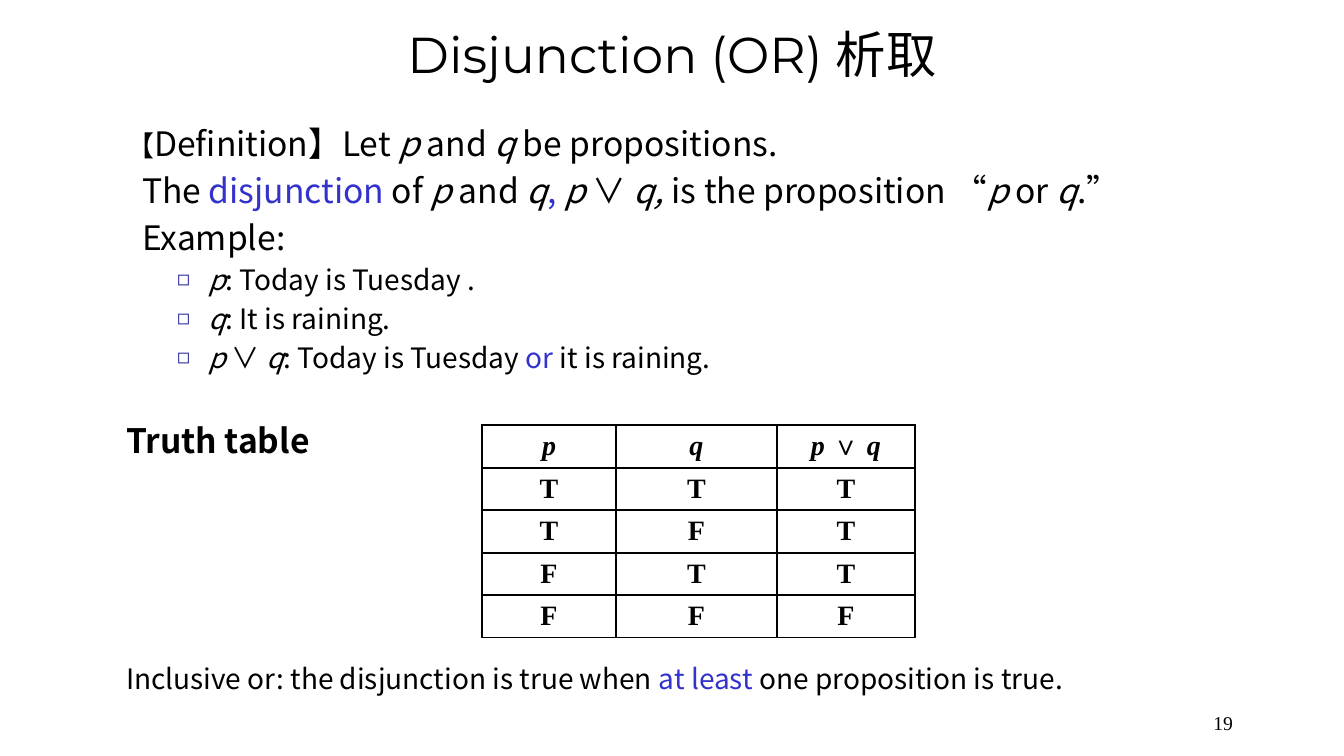
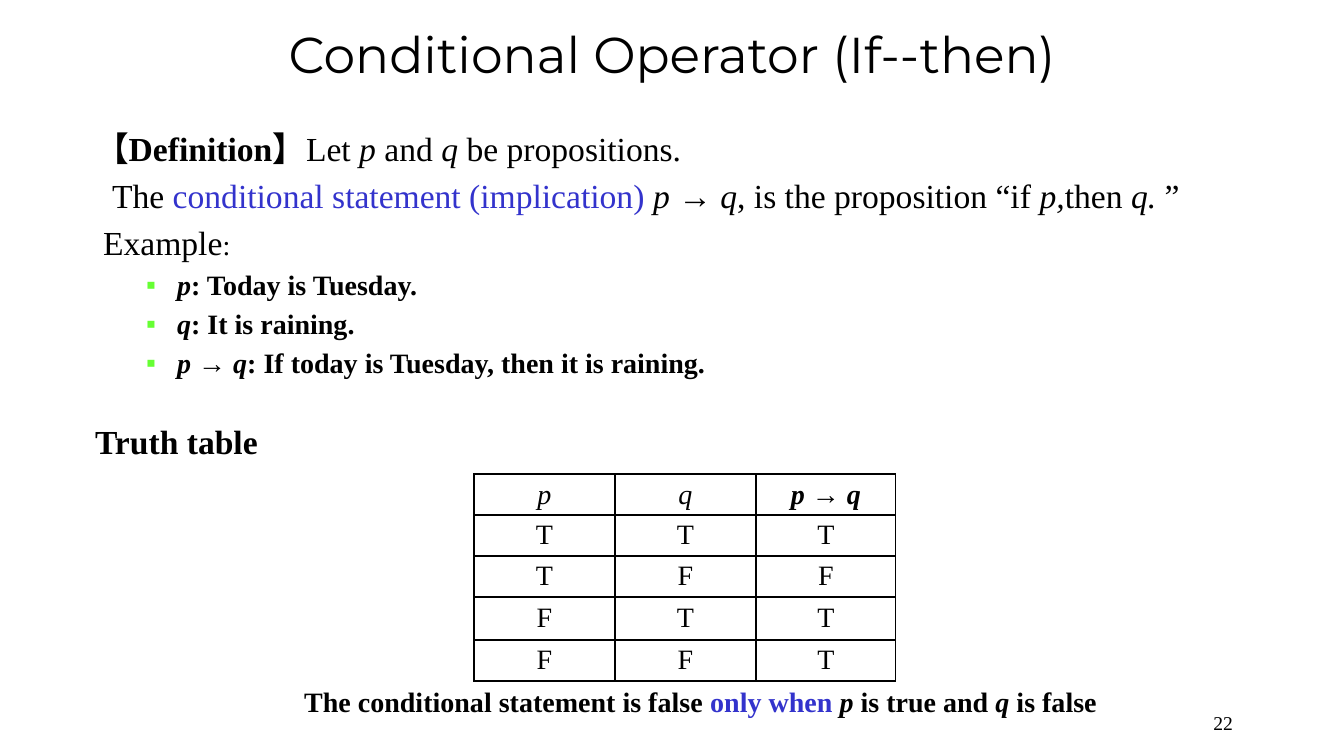
from itertools import product

from lxml import etree
from pptx import Presentation
from pptx.dml.color import RGBColor
from pptx.enum.text import MSO_ANCHOR, MSO_AUTO_SIZE, PP_ALIGN
from pptx.oxml.ns import qn
from pptx.util import Emu, Pt

EMU_PER_PX = 914400 / 100.8
BLACK = RGBColor(0x00, 0x00, 0x00)
WHITE = RGBColor(0xFF, 0xFF, 0xFF)
BLUE = RGBColor(0x33, 0x33, 0xCC)
NAVY = RGBColor(0x26, 0x26, 0x99)
GREEN = RGBColor(0x66, 0xFF, 0x33)

TITLE_FONT = "Montserrat"
SANS = "Noto Sans CJK SC"
SERIF = "Times New Roman"

LEFT, CENTER, RIGHT = PP_ALIGN.LEFT, PP_ALIGN.CENTER, PP_ALIGN.RIGHT
MIDDLE, TOP = MSO_ANCHOR.MIDDLE, MSO_ANCHOR.TOP
NO_AUTOFIT = MSO_AUTO_SIZE.NONE

LARGE, SMALL = 24, 20
LINE_HEIGHT = {LARGE: 28, SMALL: 23}
SPACE_BEFORE = {LARGE: 5.5, SMALL: 5}

# Run styles: i italic, b bold, c coloured, s small
P, Q = ("p", "i"), ("q", "i")


def px(length):
    return Emu(round(length * EMU_PER_PX))


def place(shape, left, top, width, height):
    shape.left, shape.top = px(left), px(top)
    shape.width, shape.height = px(width), px(height)


def set_font(paragraph, name, size, bold=False):
    font = paragraph.font
    font.name, font.size, font.bold = name, Pt(size), bold
    font.color.rgb = BLACK
    defaults = paragraph._p.pPr.find(qn("a:defRPr"))
    east_asian = etree.Element(qn("a:ea"), typeface=SANS)
    defaults.find(qn("a:latin")).addnext(east_asian)


def add_runs(paragraph, runs):
    for item in runs:
        text, style = (item, "") if isinstance(item, str) else item
        run = paragraph.add_run()
        run.text = text
        if "i" in style:
            run.font.italic = True
        if "b" in style:
            run.font.bold = True
        if "c" in style:
            run.font.color.rgb = BLUE
        if "s" in style:
            run.font.size = Pt(SMALL)


def set_bullet(paragraph, bullet):
    """Give the paragraph a (character, colour, percent) bullet, or none."""
    properties = paragraph._p.get_or_add_pPr()
    if bullet is None:
        etree.SubElement(properties, qn("a:buNone"))
        return
    character, color, percent = bullet
    fill = etree.SubElement(properties, qn("a:buClr"))
    etree.SubElement(fill, qn("a:srgbClr"), val=str(color))
    etree.SubElement(properties, qn("a:buSzPct"), val=str(percent * 1000))
    etree.SubElement(properties, qn("a:buChar"), char=character)


def write_line(frame, runs, font, size=LARGE, bold=False, indent=0, bullet=None,
               gap=None, align=LEFT):
    first = not frame.paragraphs[0].runs
    paragraph = frame.paragraphs[0] if first else frame.add_paragraph()
    paragraph.alignment = align
    paragraph.line_spacing = Pt(LINE_HEIGHT[size])
    paragraph.space_before = Pt(0 if first else gap or SPACE_BEFORE[size])
    if bullet:
        paragraph.level = 1
    properties = paragraph._p.get_or_add_pPr()
    properties.set("marL", str(px(82 if bullet else indent)))
    properties.set("indent", str(px(-31 if bullet else 0)))
    set_bullet(paragraph, bullet)
    set_font(paragraph, font, size, bold)
    add_runs(paragraph, runs)


def add_titled_slide(presentation, title, number):
    """Add a slide with its title and page number; return it."""
    slide = presentation.slides.add_slide(presentation.slide_layouts[1])
    place(slide.shapes.title, 101, 13, 1142, 80)
    page = slide.shapes.add_textbox(px(1030), px(706), px(213), px(33))
    for shape, text, font, size, align, anchor in (
            (slide.shapes.title, title, TITLE_FONT, 36, CENTER, MIDDLE),
            (page, number, SERIF, 14, RIGHT, TOP)):
        frame = shape.text_frame
        frame.word_wrap, frame.auto_size = True, NO_AUTOFIT
        frame.vertical_anchor = anchor
        paragraph = frame.paragraphs[0]
        paragraph.alignment = align
        set_font(paragraph, font, size)
        add_runs(paragraph, [text])
    return slide


def prepare_body(slide, left, top, width, height):
    body = slide.placeholders[1]
    place(body, left, top, width, height)
    frame = body.text_frame
    frame.word_wrap, frame.auto_size = True, NO_AUTOFIT
    frame.vertical_anchor = TOP
    return frame


def set_borders(cell):
    properties = cell._tc.get_or_add_tcPr()
    for position, side in enumerate(("lnL", "lnR", "lnT", "lnB")):
        line = etree.Element(qn("a:" + side), w=str(Pt(1)))
        fill = etree.SubElement(line, qn("a:solidFill"))
        etree.SubElement(fill, qn("a:srgbClr"), val=str(BLACK))
        properties.insert(position, line)


def add_truth_table(slide, left, top, widths, heights, header, operation, bold):
    """Tabulate operation(p, q) under a header of three run lists."""
    rows = [header]
    for p, q in product((True, False), repeat=2):
        rows.append([["T" if value else "F"] for value in (p, q, operation(p, q))])
    table = slide.shapes.add_table(len(rows), len(widths), px(left), px(top),
                                   px(sum(widths)), px(sum(heights))).table
    table.first_row = table.horz_banding = False
    for column, width in zip(table.columns, widths):
        column.width = px(width)
    for row, height, contents in zip(table.rows, heights, rows):
        row.height = px(height)
        for cell, runs in zip(row.cells, contents):
            cell.fill.solid()
            cell.fill.fore_color.rgb = WHITE
            cell.vertical_anchor = MIDDLE
            cell.margin_top = cell.margin_bottom = px(4)
            set_borders(cell)
            paragraph = cell.text_frame.paragraphs[0]
            paragraph.alignment = CENTER
            set_font(paragraph, SERIF, SMALL, bold)
            add_runs(paragraph, runs)


def build_disjunction(presentation):
    slide = add_titled_slide(presentation, "Disjunction (OR) 析取", "19")
    frame = prepare_body(slide, 116, 119, 1119, 593)

    # Definition
    write_line(frame, [("【", "s"), "Definition】Let ", ("p ", "i"), "and",
                       (" q ", "i"), "be propositions."], SANS)
    write_line(frame, ["The ", ("disjunction ", "c"), "of ", ("p ", "i"), "and",
                       (" q", "i"), (", ", "c"), ("p ", "i"), "∨ ", ("q, ", "i"),
                       "is the proposition “", P, " or ", Q, ".”"],
               SANS, indent=16)

    # Example
    write_line(frame, ["Example:"], SANS, indent=16)
    for runs in ([P, ": Today is Tuesday ."],
                 [Q, ": It is raining."],
                 [("p ", "i"), "∨ ", Q, ": Today is Tuesday ", ("or", "c"),
                  " it is raining."]):
        write_line(frame, runs, SANS, SMALL, bullet=("◻", NAVY, 75))

    # Truth table
    write_line(frame, ["Truth table"], SANS, bold=True, gap=33.5)
    write_line(frame, ["Inclusive or: the disjunction is true when ",
                       ("at least", "c"), " one proposition is true."],
               SANS, SMALL, gap=144.5)
    add_truth_table(slide, 482, 425, (134, 161, 138), (43, 42, 43, 42, 43),
                    [[P], [Q], [("p ", "i"), "∨ ", Q]],
                    lambda p, q: p or q, bold=True)


def build_conditional(presentation):
    slide = add_titled_slide(presentation, "Conditional Operator (If--then)", "22")
    frame = prepare_body(slide, 85, 124, 1231, 632)

    # Definition
    write_line(frame, [("【Definition】", "b"), "Let ", ("p ", "i"), "and",
                       (" q ", "i"), "be propositions."], SERIF)
    write_line(frame, ["The ", ("conditional statement (implication) ", "c"),
                       ("p ", "i"), ("→ ", "b"), Q, ", is the proposition “if ",
                       ("p,", "i"), "then ", ("q. ", "i"), "”"], SERIF, indent=17)

    # Example
    write_line(frame, ["Example", (":", "s")], SERIF, indent=8)
    for runs in ([P, ": Today is Tuesday."],
                 [Q, ": It is raining."],
                 [("p ", "i"), "→ ", Q,
                  ": If today is Tuesday, then it is raining."]):
        write_line(frame, runs, SERIF, SMALL, bold=True, bullet=("▪", GREEN, 100))

    # Truth table
    write_line(frame, ["Truth table"], SERIF, bold=True, gap=30.5)
    write_line(frame, ["The conditional statement is false ", ("only when ", "c"),
                       P, " is true and ", Q, " is false"],
               SERIF, SMALL, bold=True, gap=160, align=CENTER)
    add_truth_table(slide, 474, 474, (141, 141, 140), (41, 41, 41, 43, 41),
                    [[P], [Q], [("p ", "ib"), ("→ ", "b"), ("q", "ib")]],
                    lambda p, q: not p or q, bold=False)


def main():
    presentation = Presentation()
    presentation.slide_width, presentation.slide_height = px(1344), px(756)
    build_disjunction(presentation)
    build_conditional(presentation)
    presentation.save("out.pptx")


if __name__ == "__main__":
    main()
